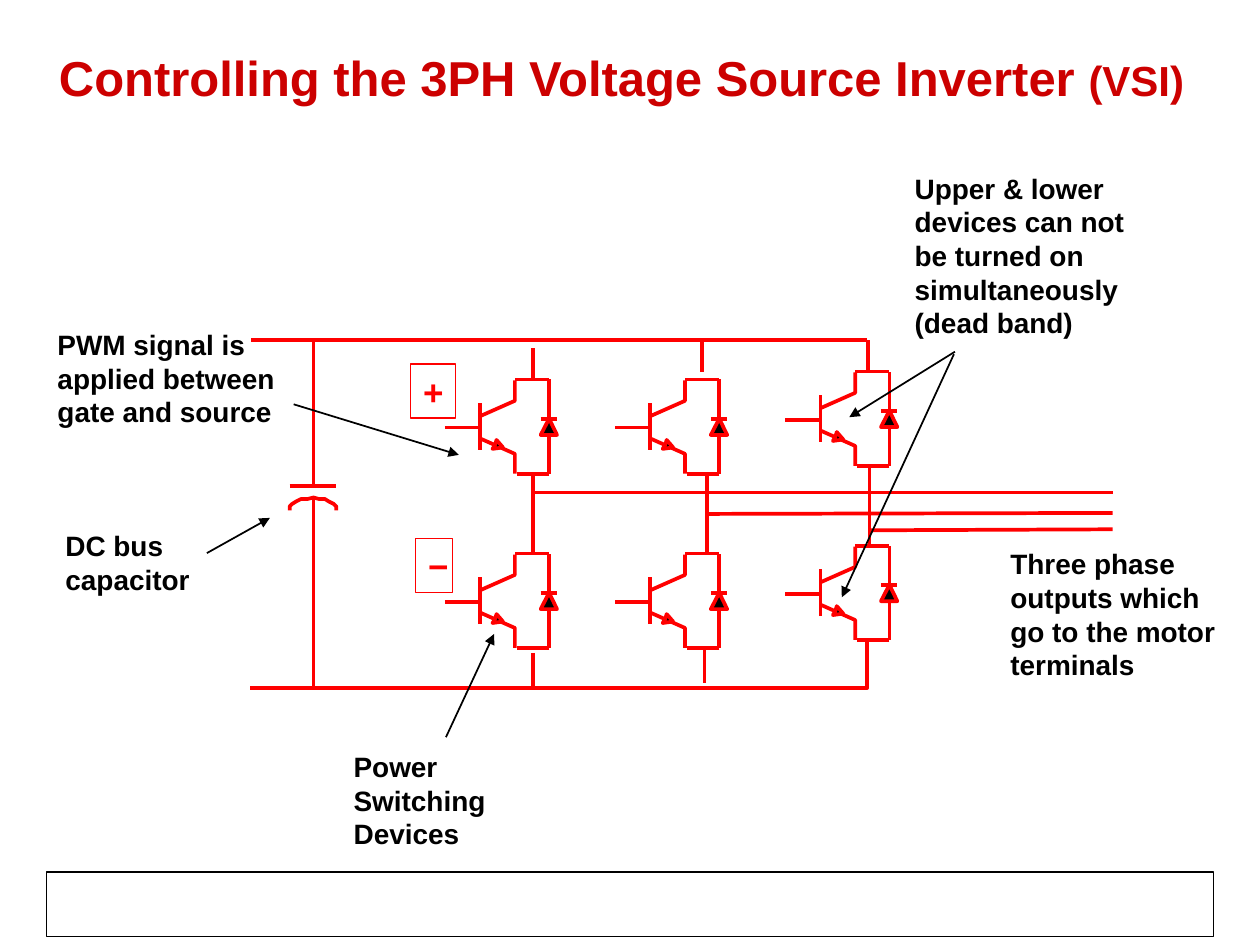
import pptx
import pptx.util
import pptx.dml.color
import pptx.enum.shapes
import pptx.enum.text
import pptx.oxml
import pptx.oxml.ns

Cm, Pt = pptx.util.Cm, pptx.util.Pt
RGBColor = pptx.dml.color.RGBColor
MSO_SHAPE = pptx.enum.shapes.MSO_SHAPE
ANCHOR = pptx.enum.text.MSO_ANCHOR

RED = RGBColor(0xFF, 0x00, 0x00)
DARK_RED = RGBColor(0xCC, 0x00, 0x00)
BLACK = RGBColor(0x00, 0x00, 0x00)
WIRE_PT, ARROW_PT, FRAME_PT = 2.13, 1, 0.75

# All positions are in centimetres.
TITLE_BOX = (0.94, 0, 23.5, 3.3)
TITLE_RUNS = [("Controlling the 3PH Voltage Source Inverter ", 28), ("(VSI)", 24)]
FOOTER_BOX = (0.94, 17.58, 23.52, 1.3)

LABELS = [
    ((6.88, 14.99, 3.18, 2.29), ["Power", "Switching", "Devices"]),
    ((20.12, 10.9, 5.28, 2.97),
     ["Three phase", "outputs which", "go to the motor", "terminals"]),
    ((18.19, 3.33, 4.75, 3.63),
     ["Upper & lower", "devices can not", "be turned on", "simultaneously", "(dead band)"]),
    ((0.91, 6.48, 4.9, 2.29), ["PWM signal is", "applied between", "gate and source"]),
    ((1.07, 10.54, 3.02, 1.6), ["DC bus", "capacitor"]),
]
SIGNS = [((8.28, 7.34, 0.91, 1.09), "+"), ((8.38, 10.85, 0.74, 1.09), "−")]

# One transistor with its diode, relative to the top of its base bar column
SWITCH_LINES = [
    [(-0.71, 0.97), (0, 0.97)],                   # gate
    [(0, 1.42), (0, 0.48)],                       # base bar
    [(0, 0.74), (0.7, 0.43), (0.7, 0.02)],        # collector
    [(0, 1.19), (0.7, 1.5), (0.7, 1.9)],          # emitter
    [(1.39, 1.47), (1.39, 0.43)],                 # diode leads
    [(1.39, 1.9), (1.39, 0)],
    [(1.22, 0.79), (1.55, 0.79)],                 # diode bar
    [(1.39, 1.9), (0.84, 1.9)],
    [(1.39, 0), (0.7, 0)],
    [(0.74, 1.9), (0.91, 1.9)],
]
SWITCH_SOLIDS = [
    [(0.3, 1.32), (0.33, 1.22), (0.46, 1.37), (0.25, 1.4)],    # emitter arrow
    [(1.39, 1.12), (1.22, 1.12), (1.39, 0.79), (1.55, 1.12)],  # diode
]
FIRST_LEG_X, LEG_PITCH, LOWER_OFFSET = 9.68, 3.43, 3.51
LEG_TOPS = [7.65, 7.65, 7.49]

WIRES = [
    # phase legs
    [(10.74, 11.15), (10.74, 9.58)],
    [(14.25, 11.15), (14.25, 9.55)],
    [(17.53, 11), (17.53, 9.4)],
    [(10.74, 7.65), (10.74, 7.01)],
    [(14.15, 7.49), (14.15, 6.86)],
    [(17.5, 7.49), (17.5, 6.86)],
    [(10.74, 13.16), (10.74, 13.82)],
    [(14.2, 13.08), (14.2, 13.77)],
    # DC bus
    [(17.48, 12.93), (17.48, 13.87), (5.05, 13.87)],
    [(17.48, 6.86), (5.05, 6.86)],
    # outputs
    [(10.74, 9.93), (22.43, 9.93)],
    [(14.25, 10.36), (22.43, 10.34)],
    [(17.53, 10.69), (22.43, 10.67)],
    # capacitor
    [(6.32, 9.8), (6.32, 6.88)],
    [(6.32, 10.03), (6.32, 13.82)],
    [(5.84, 9.8), (6.78, 9.8)],
    [(5.84, 10.29), (5.84, 10.21), (5.89, 10.16), (5.97, 10.11), (6.07, 10.06),
     (6.2, 10.06), (6.32, 10.03), (6.43, 10.06), (6.55, 10.06), (6.63, 10.11),
     (6.73, 10.16), (6.78, 10.21), (6.78, 10.29)],
]
ARROWS = [
    [(19.25, 7.09), (17.12, 8.41)],
    [(19.23, 7.14), (16.97, 12.04)],
    [(5.92, 8.15), (9.25, 9.17)],
    [(4.17, 11.15), (5.44, 10.44)],
    [(8.99, 14.86), (9.96, 12.78)],
]


def set_line(sp, color, width):
    sp.line.color.rgb = color
    sp.line.width = Pt(width)


def add_line(s, start, end, color=RED, width=WIRE_PT, arrow=False):
    sp = s.shapes.add_connector(pptx.enum.shapes.MSO_CONNECTOR.STRAIGHT,
                                *(Cm(v) for v in start + end))
    set_line(sp, color, width)
    props = sp.element.spPr
    pptx.oxml.ns.qn("a:effectLst")
    if arrow:
        tail = sp.line._get_or_add_ln().makeelement(
            pptx.oxml.ns.qn("a:tailEnd"), {"type": "triangle"})
        sp.line._get_or_add_ln().append(tail)
    props.append(props.makeelement(pptx.oxml.ns.qn("a:effectLst"), {}))


def add_outline(s, points, solid=False):
    pts = [(Cm(x), Cm(y)) for x, y in points]
    builder = s.shapes.build_freeform(*pts[0])
    builder.add_line_segments(pts[1:], close=solid)
    sp = builder.convert_to_shape()
    sp.shadow.inherit = False
    if solid:
        sp.fill.solid()
        sp.fill.fore_color.rgb = BLACK
    else:
        sp.fill.background()
    set_line(sp, RED, WIRE_PT)


def add_wire(s, points):
    """Draw a straight connector, or an open outline if the wire bends."""
    if len(points) == 2:
        add_line(s, *points)
    else:
        add_outline(s, points)


def add_switch(s, left, top):
    def placed(points):
        return [(left + x, top + y) for x, y in points]

    for points in SWITCH_LINES:
        add_wire(s, placed(points))
    for points in SWITCH_SOLIDS:
        add_outline(s, placed(points), solid=True)


def add_frame(s, box, color):
    sp = s.shapes.add_shape(MSO_SHAPE.RECTANGLE, *(Cm(v) for v in box))
    sp.shadow.inherit = False
    sp.fill.background()
    set_line(sp, color, FRAME_PT)
    return sp


def write(sp, lines, color, wrap=False, anchor=ANCHOR.TOP, spacing=None):
    """Fill a shape with paragraphs, each a list of (text, size) runs."""
    tf = sp.text_frame
    tf.word_wrap = wrap
    tf.vertical_anchor = anchor
    for i, runs in enumerate(lines):
        p = tf.add_paragraph() if i else tf.paragraphs[0]
        p.alignment = pptx.enum.text.PP_ALIGN.LEFT
        p.line_spacing = spacing
        for text, size in runs:
            r = p.add_run()
            r.text = text
            r.font.color.rgb = color
            for name, value in {"name": "Arial", "size": Pt(size), "bold": True}.items():
                setattr(r.font, name, value)


def add_text(s, box, lines, color, **options):
    write(s.shapes.add_textbox(*(Cm(v) for v in box)), lines, color, **options)


def main():
    prs = pptx.Presentation()
    prs.slide_width, prs.slide_height = Cm(25.4), Cm(19.05)
    s = prs.slides.add_slide(prs.slide_layouts[6])

    add_frame(s, FOOTER_BOX, BLACK)
    for i, top in enumerate(LEG_TOPS):
        for offset in (0, LOWER_OFFSET):
            add_switch(s, FIRST_LEG_X + i * LEG_PITCH, top + offset)
    for points in WIRES:
        add_wire(s, points)
    for box, sign in SIGNS:
        write(add_frame(s, box, RED), [[(sign, 20)]], RED)
    for points in ARROWS:
        add_line(s, *points, color=BLACK, width=ARROW_PT, arrow=True)
    for box, lines in LABELS:
        add_text(s, box, [[(line, 16)] for line in lines], BLACK)
    add_text(s, TITLE_BOX, [TITLE_RUNS], DARK_RED,
             wrap=True, anchor=ANCHOR.MIDDLE, spacing=0.85)
    prs.save("out.pptx")


if __name__ == "__main__":
    main()
